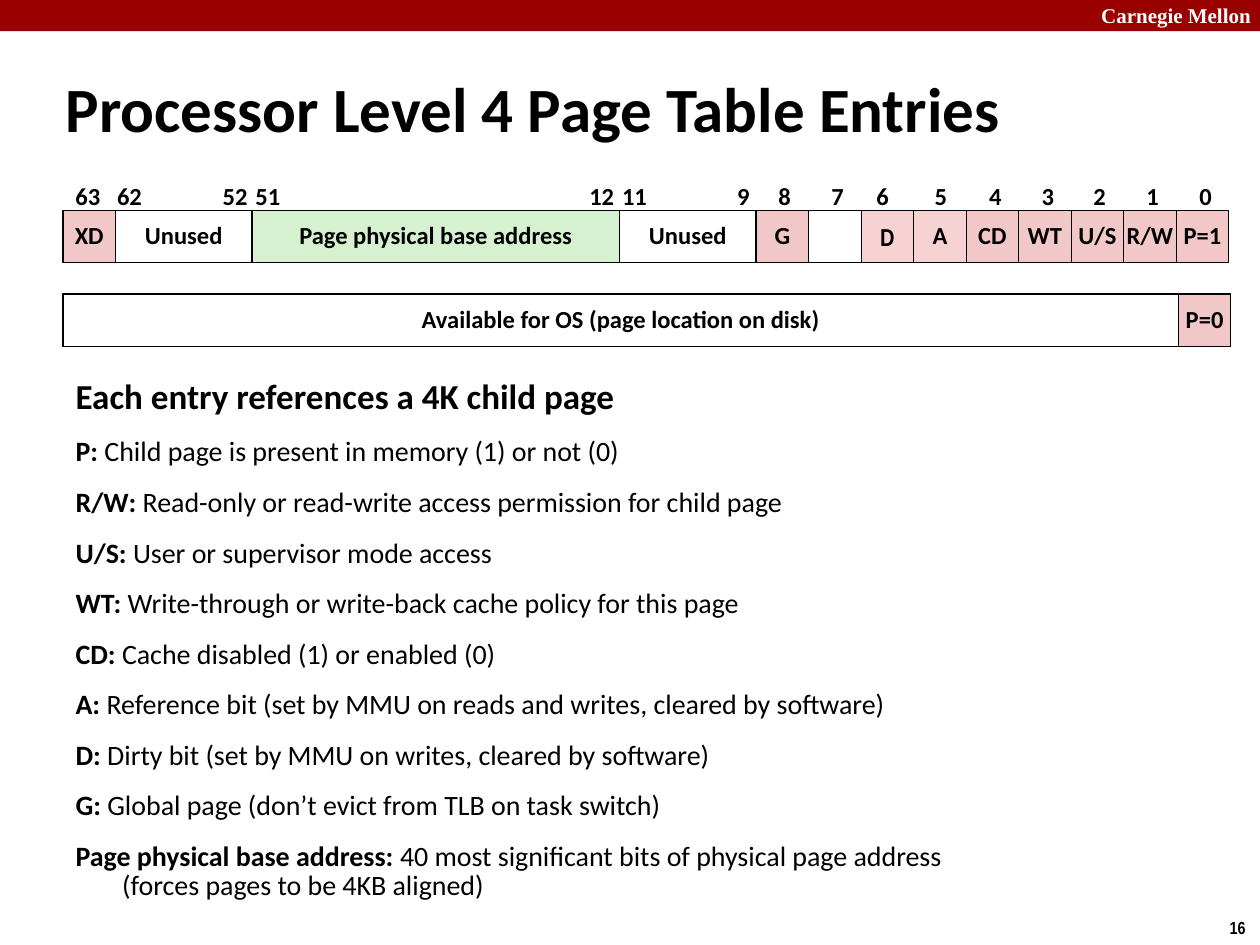
import pptx
import pptx.util
import pptx.dml.color
import pptx.enum.shapes
import pptx.enum.text
import pptx.oxml.ns
from lxml import etree
from pptx.util import Cm

COLORS = {
    "banner": "990000",
    "ink": "000000",
    "paper": "FFFFFF",
    "address": "D5F1CF",
    "flag": "F1C7C7",
    "status": "F6D2D2",
}
ALIGN = pptx.enum.text.PP_ALIGN
ANCHOR = pptx.enum.text.MSO_ANCHOR


def add_run(paragraph, text, size, font="Calibri", color="ink", bold=True):
    run = paragraph.add_run()
    run.text = text
    run.font.size = pptx.util.Pt(size)
    run.font.name = font
    run.font.bold = bold
    run.font.color.rgb = pptx.dml.color.RGBColor.from_string(COLORS[color])


def add_box(left, top, width, height, fill, outlined=True):
    box = slide.shapes.add_shape(
        pptx.enum.shapes.MSO_SHAPE.RECTANGLE, Cm(left), Cm(top), Cm(width), Cm(height))
    box.shadow.inherit = False
    box.fill.solid()
    box.fill.fore_color.rgb = pptx.dml.color.RGBColor.from_string(COLORS[fill])
    if outlined:
        box.line.color.rgb = pptx.dml.color.RGBColor.from_string(COLORS["ink"])
        box.line.width = pptx.util.Pt(0.75)
    else:
        box.line.fill.background()
    box.text_frame.word_wrap = False
    box.text_frame.vertical_anchor = ANCHOR.MIDDLE
    return box.text_frame.paragraphs[0]


deck = pptx.Presentation()
deck.slide_width, deck.slide_height = Cm(25.4), Cm(19.05)
slide = deck.slides.add_slide(deck.slide_layouts[1])

# Banner and page number
add_box(0, 0, 25.4, 0.63, "banner", outlined=False)
margin_notes = [
    ("Carnegie Mellon", 21.95, -0.08, 3.63, 0.76, 12, "Times New Roman", "paper"),
    ("16", 24.54, 18.36, 0.86, 0.69, 10, "Arial Narrow", "ink"),
]
for text, left, top, width, height, size, font, color in margin_notes:
    note = slide.shapes.add_textbox(Cm(left), Cm(top), Cm(width), Cm(height))
    note.text_frame.word_wrap = False
    add_run(note.text_frame.paragraphs[0], text, size, font, color)

# Title
title = slide.shapes.title
title.left, title.top, title.width, title.height = Cm(1.07), Cm(1.37), Cm(20.42), Cm(1.6)
title.text_frame.auto_size = pptx.enum.text.MSO_AUTO_SIZE.NONE
title.text_frame.vertical_anchor = ANCHOR.MIDDLE
title.text_frame.paragraphs[0].alignment = ALIGN.LEFT
add_run(title.text_frame.paragraphs[0], "Processor Level 4 Page Table Entries", 36)

# Entry layouts: (text, width in single-bit cells, fill)
present_fields = [
    ("XD", 1, "flag"), ("Unused", 2.6, "paper"),
    ("Page physical base address", 7, "address"), ("Unused", 2.6, "paper"),
    ("G", 1, "flag"), ("", 1, "paper"), ("D", 1, "status"), ("A", 1, "status"),
    ("CD", 1, "flag"), ("WT", 1, "flag"), ("U/S", 1, "flag"),
    ("R/W", 1, "flag"), ("P=1", 1, "flag"),
]
absent_fields = [
    ("Available for OS (page location on disk)", 21.24, "paper"), ("P=0", 1, "flag"),
]
entry_left = 1.27
bit_width = 23.5 / 22.2
for entry_top, fields in [(4.24, present_fields), (5.93, absent_fields)]:
    field_left = entry_left
    for text, bits, fill in fields:
        field = add_box(field_left, entry_top, bits * bit_width, 1.06, fill)
        field_left += bits * bit_width
        if text:
            field.alignment = ALIGN.CENTER
            if text == "D":
                add_run(field, text, 14, "Arial Narrow")
            else:
                field.line_spacing = 0.88
                add_run(field, text, 14)

# Bit numbers above the first entry
bit_lefts = {
    63: 1.27, 62: 2.11, 52: 4.24, 51: 4.9, 12: 11.63, 11: 12.29, 9: 14.61, 8: 15.44,
    7: 16.51, 6: 17.42, 5: 18.59, 4: 19.69, 3: 20.75, 2: 21.79, 1: 22.86, 0: 23.93,
}
for bit, left in bit_lefts.items():
    bit_label = slide.shapes.add_textbox(
        Cm(left), Cm(3.61), Cm(1.02 if bit > 9 else 0.76), Cm(0.79))
    bit_label.text_frame.word_wrap = False
    bit_label.text_frame.paragraphs[0].line_spacing = 0.88
    add_run(bit_label.text_frame.paragraphs[0], str(bit), 14)

# Field descriptions
descriptions = [
    ("Each entry references a 4K child page", ""),
    ("P: ", "Child page is present in memory (1) or not (0)"),
    ("R/W: ", "Read-only or read-write access permission for child page"),
    ("U/S: ", "User or supervisor mode access"),
    ("WT: ", "Write-through or write-back cache policy for this page"),
    ("CD: ", "Cache disabled (1) or enabled (0)"),
    ("A: ", "Reference bit (set by MMU on reads and writes, cleared by software)"),
    ("D: ", "Dirty bit (set by MMU on writes, cleared by software)"),
    ("G: ", "Global page (don’t evict from TLB on task switch)"),
    ("Page physical base address: ",
     "40 most significant bits of physical page address (forces pages to be 4KB aligned)"),
]
body = slide.placeholders[1]
body.left, body.top, body.width, body.height = Cm(1.27), Cm(7.54), Cm(19.25), Cm(10.87)
body.text_frame.auto_size = pptx.enum.text.MSO_AUTO_SIZE.NONE
for index, (term, meaning) in enumerate(descriptions):
    entry = body.text_frame.add_paragraph() if index else body.text_frame.paragraphs[0]
    entry.line_spacing = 0.88
    entry.space_before = pptx.util.Pt(12 if index else 0)
    properties = entry._p.get_or_add_pPr()
    properties.set("marL", str(Cm(0.94)))
    properties.set("indent", str(-Cm(0.94)))
    etree.SubElement(properties, pptx.oxml.ns.qn("a:buNone"))
    add_run(entry, term, 16 if meaning else 20)
    if meaning:
        add_run(entry, meaning, 16, bold=False)

deck.save("out.pptx")
